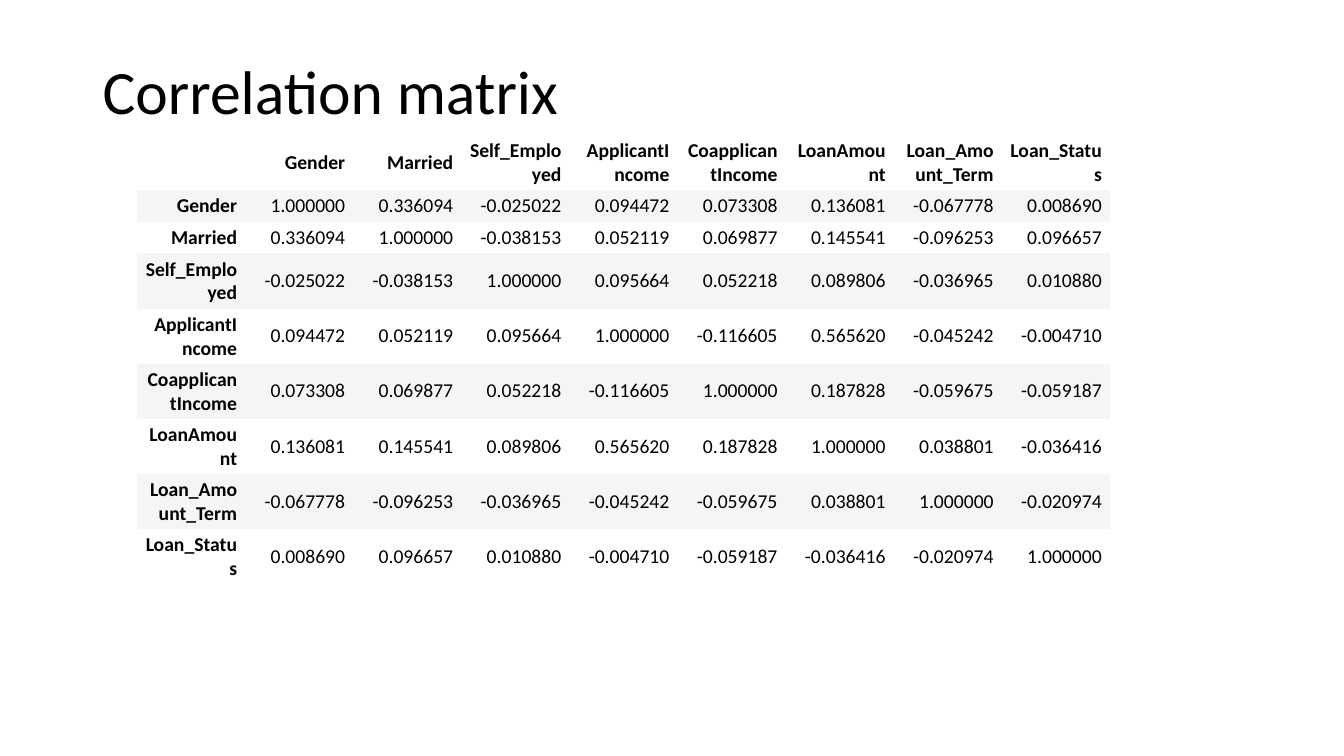
from dataclasses import dataclass

from pptx import Presentation
from pptx.dml.color import RGBColor
from pptx.enum.text import MSO_ANCHOR as Anchor, PP_ALIGN as Align
from pptx.oxml.ns import qn
from pptx.util import Inches, Pt


@dataclass(frozen=True)
class Theme:
    font: str = "Calibri"
    ink: RGBColor = RGBColor(0x00, 0x00, 0x00)
    paper: RGBColor = RGBColor(0xFF, 0xFF, 0xFF)
    band: RGBColor = RGBColor(0xF5, 0xF5, 0xF5)
    title_size: int = 44
    cell_size: int = 14


THEME = Theme()
PLAIN_TABLE_STYLE = "{2D5ABB26-0587-4C30-8999-92F81FD0307C}"
CELL_FORMAT = {
    "vertical_anchor": Anchor.MIDDLE,
    "margin_left": Inches(0.08), "margin_right": Inches(0.08),
    "margin_top": Inches(0.04), "margin_bottom": Inches(0.04),
}

# Each variable with its correlations to the variables up to itself
CORRELATIONS = {
    "Gender": [1],
    "Married": [0.336094, 1],
    "Self_Employed": [-0.025022, -0.038153, 1],
    "ApplicantIncome": [0.094472, 0.052119, 0.095664, 1],
    "CoapplicantIncome": [0.073308, 0.069877, 0.052218, -0.116605, 1],
    "LoanAmount": [0.136081, 0.145541, 0.089806, 0.565620, 0.187828, 1],
    "Loan_Amount_Term": [-0.067778, -0.096253, -0.036965, -0.045242,
                         -0.059675, 0.038801, 1],
    "Loan_Status": [0.008690, 0.096657, 0.010880, -0.004710,
                    -0.059187, -0.036416, -0.020974, 1],
}


def write(paragraph, text, size, bold=False):
    run = paragraph.add_run()
    run.text = text
    font_format = {"name": THEME.font, "size": Pt(size), "bold": bold}
    for name, value in font_format.items():
        setattr(run.font, name, value)
    run.font.color.rgb = THEME.ink


def add_title(slide, box, text):
    frame = slide.shapes.add_textbox(*map(Inches, box)).text_frame
    frame.word_wrap = True
    frame.vertical_anchor = Anchor.MIDDLE
    heading = frame.paragraphs[0]
    heading.line_spacing = 0.9
    write(heading, text, THEME.title_size)


def matrix_rows(correlations):
    """Mirror the lower triangle into full rows with headings."""
    labels, triangle = list(correlations), list(correlations.values())
    yield ["", *labels]
    for i, label in enumerate(labels):
        yield [label] + [f"{triangle[max(i, j)][min(i, j)]:.6f}"
                         for j in range(len(labels))]


def add_matrix(slide, box, correlations):
    rows = list(matrix_rows(correlations))
    count = len(rows)
    left, top, width, height = map(Inches, box)
    holder = slide.shapes.add_table(count, count, left, top, width, height)
    matrix = holder.table

    # Plain style without grid lines or automatic banding
    matrix.first_row = matrix.horz_banding = False
    for style in holder.element.iter(qn("a:tableStyleId")):
        style.text = PLAIN_TABLE_STYLE

    for column in matrix.columns:
        column.width = width // count
    for i, row in enumerate(rows):
        one_line = row[0] in ("Gender", "Married")
        matrix.rows[i].height = Inches(0.28 if one_line else 0.49)
        for j, text in enumerate(row):
            cell = matrix.cell(i, j)
            for name, value in CELL_FORMAT.items():
                setattr(cell, name, value)
            cell.fill.solid()
            cell.fill.fore_color.rgb = THEME.band if i % 2 else THEME.paper
            if text:
                entry = cell.text_frame.paragraphs[0]
                entry.alignment = Align.RIGHT
                write(entry, text, THEME.cell_size, bold=i == 0 or j == 0)


def main():
    deck = Presentation()
    deck.slide_width, deck.slide_height = Inches(13.33), Inches(7.5)
    slide = deck.slides.add_slide(deck.slide_layouts[6])
    add_title(slide, (0.92, 0.4, 11.5, 1.07), "Correlation matrix")
    add_matrix(slide, (1.36, 1.34, 9.65, 4.41), CORRELATIONS)
    deck.save("out.pptx")


if __name__ == "__main__":
    main()
